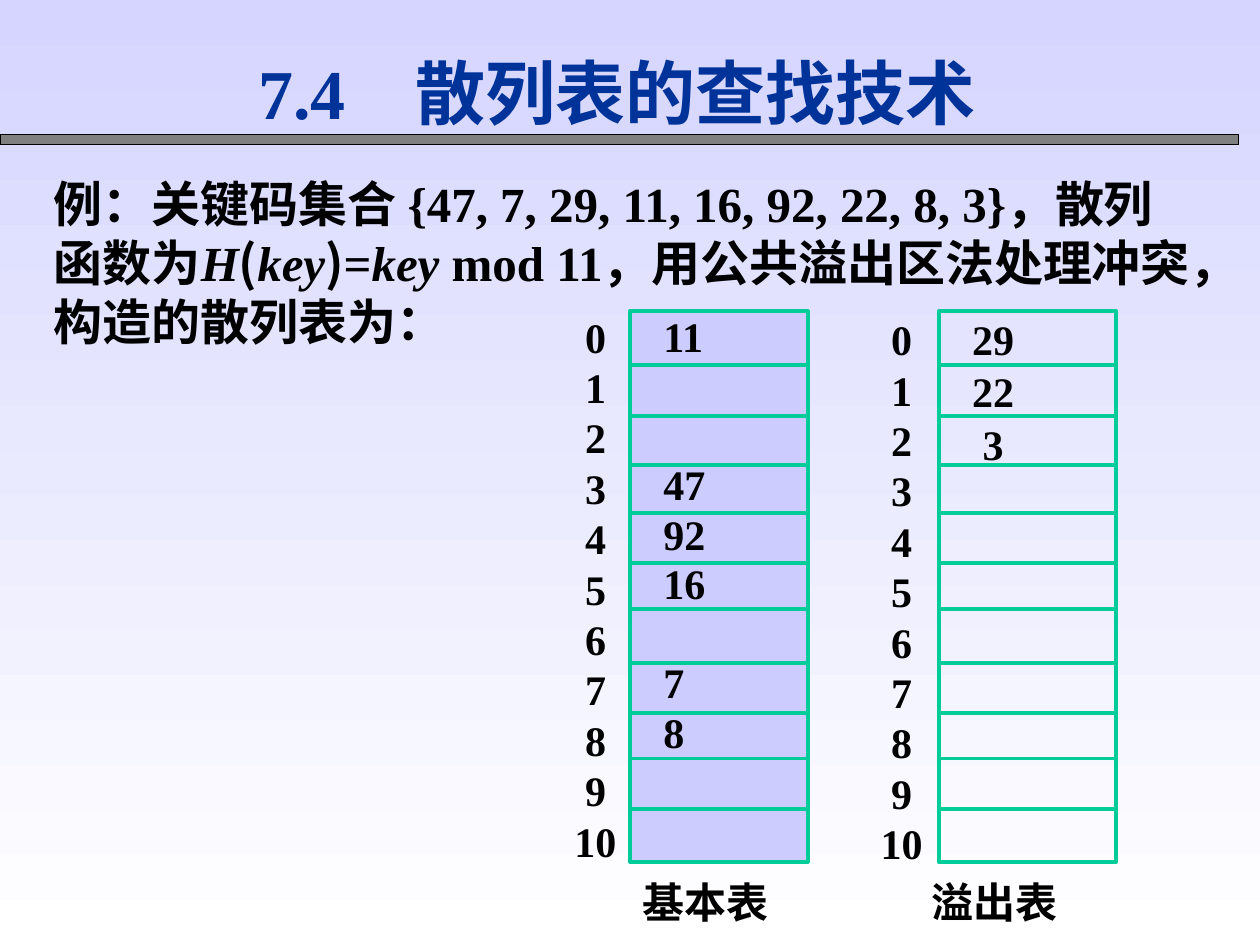
from lxml import etree
from pptx import Presentation
from pptx.dml.color import RGBColor
from pptx.enum.shapes import MSO_CONNECTOR, MSO_SHAPE
from pptx.enum.text import MSO_ANCHOR, PP_ALIGN
from pptx.oxml.ns import qn
from pptx.util import Inches, Pt

RECTANGLE = MSO_SHAPE.RECTANGLE
STRAIGHT = MSO_CONNECTOR.STRAIGHT
TOP, MIDDLE = MSO_ANCHOR.TOP, MSO_ANCHOR.MIDDLE
LEFT = PP_ALIGN.LEFT
SERIF, SANS = "Times New Roman", "Noto Sans CJK SC"
GREEN = "00CC99"
colour = RGBColor.from_string

presentation = Presentation()
presentation.slide_width, presentation.slide_height = Inches(10), Inches(7.5)
COLUMN = presentation.slide_width / 100
ROW = presentation.slide_height / 100


def place(left, top, width, height):
    """Turn percentages of the slide into lengths."""
    return (round(left * COLUMN), round(top * ROW),
            round(width * COLUMN), round(height * ROW))


def write(frame, runs, size=24, color="000000", pitch=None, before=0, indent=0):
    """Add one bold paragraph; runs are (text, font, italic)."""
    paragraph = frame.paragraphs[0]
    if paragraph.runs:
        paragraph = frame.add_paragraph()
    paragraph.alignment = LEFT
    paragraph.line_spacing = Pt(pitch or size * 1.2)
    paragraph.space_before = Pt(before)
    properties = paragraph._p.get_or_add_pPr()
    properties.set("marL", str(Pt(indent)))
    properties.set("indent", "0")
    if isinstance(runs, str):
        runs = [(runs, SERIF, False)]
    for text, name, italic in runs:
        run = paragraph.add_run()
        run.text = text
        font = run.font
        font.size, font.bold, font.italic = Pt(size), True, italic
        font.color.rgb = colour(color)
        font.name = name
        etree.SubElement(font._element, qn("a:ea"), typeface=SANS)


slide = presentation.slides.add_slide(presentation.slide_layouts[5])
shapes = slide.shapes

# Background gradient
fill = slide.background.fill
fill.gradient()
fill.gradient_angle = 270
for stop, color in zip(fill.gradient_stops, ("D5D5FF", "FFFFFF")):
    stop.color.rgb = colour(color)

# Title and the bar beneath it
bar = shapes.add_shape(RECTANGLE, *place(0, 14.27, 98.3, 1.07))
bar.shadow.inherit = False
bar.fill.solid()
bar.fill.fore_color.rgb = colour("808080")
bar.line.color.rgb = colour("000000")
bar.line.width = Pt(0.75)

title = shapes.title
title.left, title.top, title.width, title.height = place(19.5, 4.67, 64, 10)
title.text_frame.vertical_anchor = MIDDLE
write(title.text_frame, "7.4　散列表的查找技术", size=40, color="003399")

# Example
example = shapes.add_textbox(*place(3.3, 17.73, 92.5, 20)).text_frame
example.word_wrap = True
write(example, [
    ("例：关键码集合 {47, 7, 29, 11, 16, 92, 22, 8, 3}，散列函数为", SERIF, False),
    ("H", SERIF, True), ("(", SANS, False),
    ("key", SERIF, True), (")", SANS, False),
    ("=", SERIF, False), ("key", SERIF, True), (" mod 11", SERIF, False),
    ("，用公共溢出区法处理冲突，构造的散列表为：", SANS, False),
], size=28)

# Hash tables: index left and top, table left, fill, row pitch, values by row,
# the extra indent of a one-digit value, caption and its left
table_top, table_width, table_height = 32.93, 14.1, 58.27
dividers = (38.67, 44, 49.2, 54.27, 59.6, 64.4, 70.13, 75.47, 80.27, 85.6)
primary = {0: "11", 3: "47", 4: "92", 5: "16", 7: "7", 8: "8"}
overflow = {0: "29", 1: "22", 2: "3"}
tables = (
    (45.6, 32.93, 50, "CCCCFF", 28.3, primary, 0, "基本表", 51),
    (69.9, 33.2, 74.5, None, 30, overflow, 6, "溢出表", 73.9),
)
for (index_left, index_top, left, color, pitch, values, digit_indent,
     caption, caption_left) in tables:
    indices = shapes.add_textbox(*place(index_left, index_top, 4, 52.27)).text_frame
    label = shapes.add_textbox(*place(caption_left, 92.8, 14, 5.87)).text_frame
    for frame in (indices, label):
        frame.word_wrap = True
        frame.margin_left = frame.margin_right = 0
        frame.margin_top = frame.margin_bottom = 0
    for index in range(len(dividers) + 1):
        write(indices, str(index), indent=6 if index < 10 else 0)
    write(label, caption)

    table = shapes.add_shape(
        RECTANGLE, *place(left, table_top, table_width, table_height))
    table.shadow.inherit = False
    if color:
        table.fill.solid()
        table.fill.fore_color.rgb = colour(color)
    else:
        table.fill.background()
    table.line.color.rgb = colour(GREEN)
    table.line.width = Pt(2.25)
    cells = table.text_frame
    cells.vertical_anchor = TOP
    cells.margin_top = cells.margin_bottom = 0
    previous = -1
    for row, value in values.items():
        write(cells, value, pitch=pitch, before=(row - previous - 1) * pitch,
              indent=12 + (digit_indent if len(value) == 1 else 0))
        previous = row

    for height in dividers:
        x, y, width, _ = place(left, height, table_width, 0)
        divider = shapes.add_connector(STRAIGHT, x, y, x + width, y)
        divider.line.color.rgb = colour(GREEN)
        divider.line.width = Pt(2.25)
        etree.SubElement(divider._element.spPr, qn("a:effectLst"))

presentation.save("out.pptx")
